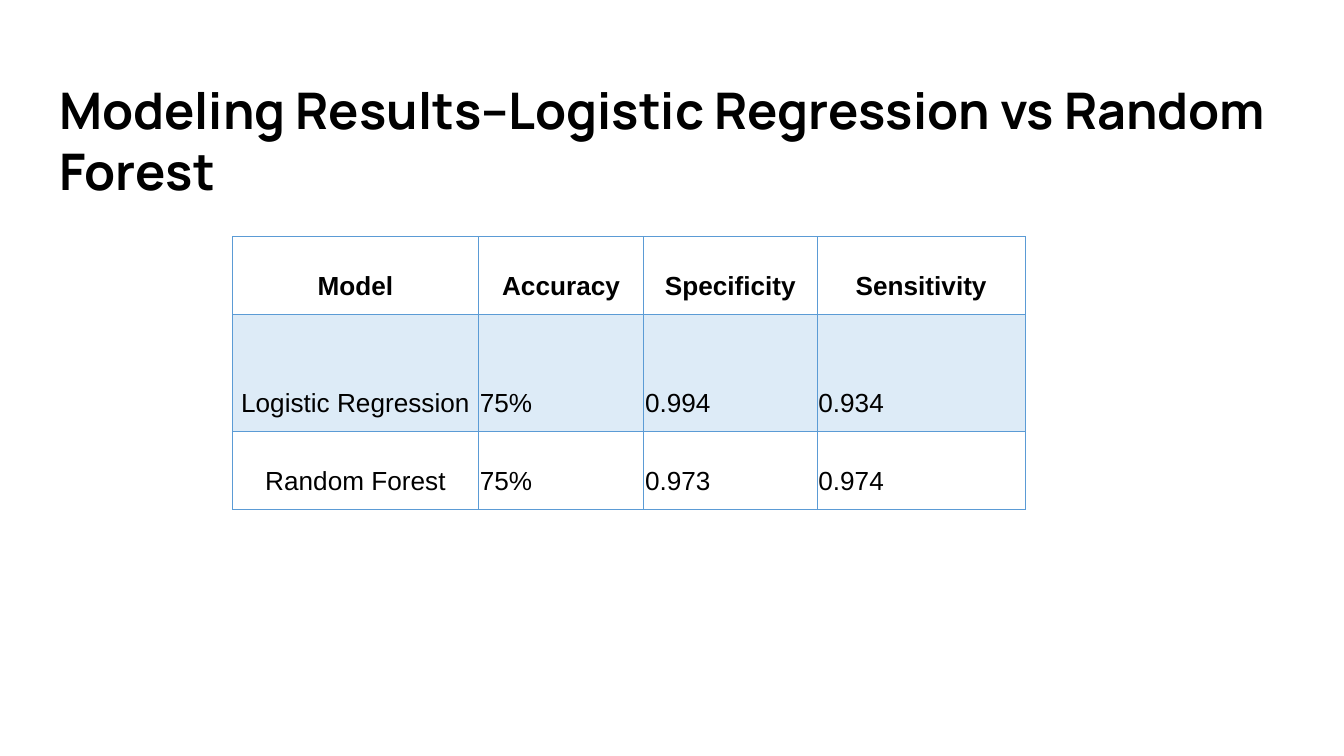
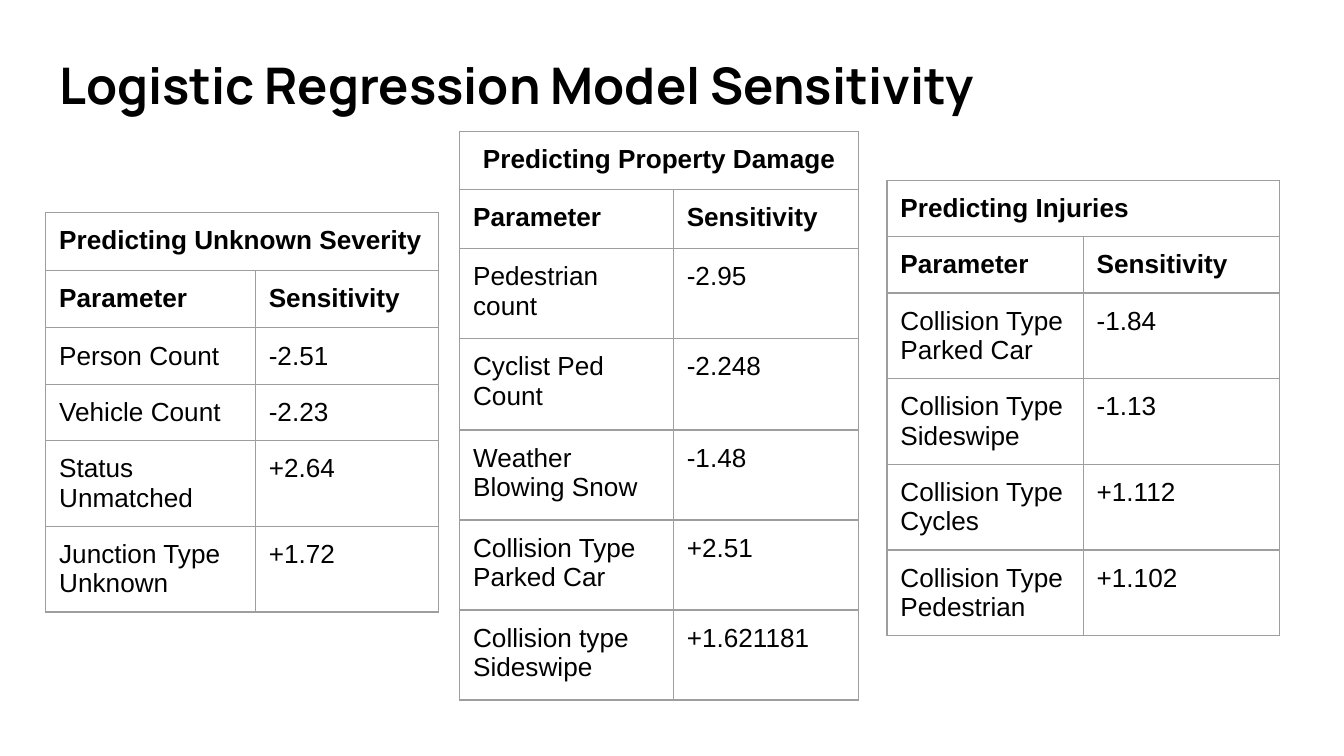
import pptx
import pptx.dml.color
import pptx.enum.text
import pptx.oxml
import pptx.oxml.ns
import pptx.util

Inches = pptx.util.Inches
Pt = pptx.util.Pt
RGB = pptx.dml.color.RGBColor
ALIGN = pptx.enum.text.PP_ALIGN
ANCHOR = pptx.enum.text.MSO_ANCHOR

BLACK = RGB(0x00, 0x00, 0x00)
PALE = RGB(0xDD, 0xEB, 0xF7)
BLUE = RGB(0x5B, 0x9B, 0xD5)
GREY = RGB(0x9E, 0x9E, 0x9E)


def write(frame, text, font="Arial", size=14, bold=False, align=ALIGN.LEFT, space=1.0):
    para = frame.paragraphs[0]
    para.alignment = align
    para.line_spacing = space
    run = para.add_run()
    run.text = text
    run.font.name = font
    run.font.size = Pt(size)
    run.font.bold = bold
    run.font.color.rgb = BLACK


def grid(slide, left, top, cols, rows, line, width, rule):
    """Add an unfilled table with ruled cells; rule is the line width under row one."""
    frame = slide.shapes.add_table(len(rows), len(cols), Inches(left), Inches(top),
                                   Inches(sum(cols)), Inches(sum(rows)))
    table = frame.table
    table.first_row = table.horz_banding = False
    for col, wide in zip(table.columns, cols):
        col.width = Inches(wide)
    for r, high in enumerate(rows):
        table.rows[r].height = Inches(high)
        for cell in table.rows[r].cells:
            props = cell._tc.get_or_add_tcPr()
            for side in "LRTB":
                thick = rule if (r, side) in [(0, "B"), (1, "T")] else width
                props.append(pptx.oxml.parse_xml(
                    f'<a:ln{side} {pptx.oxml.ns.nsdecls("a")} w="{Pt(thick)}">'
                    f'<a:solidFill><a:srgbClr val="{line}"/></a:solidFill></a:ln{side}>'))
            cell.fill.background()
            cell.margin_left = cell.margin_right = Inches(0.1)
            cell.margin_top = cell.margin_bottom = Inches(0.1)
    return table


deck = pptx.Presentation()
deck.slide_width = Inches(10)
deck.slide_height = deck.slide_width * 9 // 16

# Slides and their titles
slides = []
for text, top in [("Modeling Results–Logistic Regression vs Random Forest", 0.49),
                  ("Logistic Regression Model Sensitivity", 0.3)]:
    slide = deck.slides.add_slide(deck.slide_layouts[5])
    title = slide.shapes.title
    title.left, title.top = Inches(0.34), Inches(top)
    title.width, title.height = Inches(9.32), Inches(0.68)
    frame = title.text_frame
    frame.margin_left = frame.margin_right = Inches(0.1)
    frame.margin_top = frame.margin_bottom = Inches(0.1)
    frame.word_wrap = True
    frame.auto_size = pptx.enum.text.MSO_AUTO_SIZE.NONE
    frame.vertical_anchor = ANCHOR.TOP
    write(frame, text, font="Manrope", size=27, bold=True)
    slides.append(slide)
results, params = slides

# Model results
scores = [
    ("Model", "Accuracy", "Specificity", "Sensitivity"),
    ("Logistic Regression", "75%", "0.994", "0.934"),
    ("Random Forest", "75%", "0.973", "0.974"),
]
table = grid(results, 1.73, 1.76, [1.83, 1.23, 1.29, 1.55], [0.58, 0.87, 0.58],
             BLUE, 0.5, 1)
for r, row in enumerate(scores):
    for c, text in enumerate(row):
        cell = table.cell(r, c)
        cell.margin_left = cell.margin_right = cell.margin_top = Inches(0.01)
        cell.vertical_anchor = ANCHOR.BOTTOM
        if r == 1:
            cell.fill.solid()
            cell.fill.fore_color.rgb = PALE
        head = r == 0
        write(cell.text_frame, text, bold=head,
              align=ALIGN.CENTER if head or c == 0 else ALIGN.LEFT,
              space=1.15 if head or (r == 2 and c == 0) else 1.0)

# Parameter sensitivity: name, left, top, columns, rows, alignment of name, values
groups = [
    ("Predicting Unknown Severity", 0.34, 1.58, [1.56, 1.36],
     [0.43] * 2 + [0.42] * 4, ALIGN.LEFT,
     [("Person Count", "-2.51"),
      ("Vehicle Count", "-2.23"),
      ("Status Unmatched", "+2.64"),
      ("Junction Type Unknown", "+1.72")]),
    ("Predicting Property Damage", 3.42, 0.98, [1.59, 1.38],
     [0.43, 0.44, 0.67, 0.68] + [0.67] * 3, ALIGN.CENTER,
     [("Pedestrian count", "-2.95"),
      ("Cyclist Ped Count", "-2.248"),
      ("Weather Blowing Snow", "-1.48"),
      ("Collision Type Parked Car", "+2.51"),
      ("Collision type Sideswipe", "+1.621181")]),
    ("Predicting Injuries", 6.6, 1.34, [1.46, 1.46],
     [0.42] * 6, ALIGN.LEFT,
     [("Collision Type Parked Car", "-1.84"),
      ("Collision Type Sideswipe", "-1.13"),
      ("Collision Type Cycles", "+1.112"),
      ("Collision Type Pedestrian", "+1.102")]),
]
for name, left, top, cols, rows, align, values in groups:
    table = grid(params, left, top, cols, rows, GREY, 0.75, 0.75)
    table.cell(0, 0).merge(table.cell(0, 1))
    write(table.cell(0, 0).text_frame, name, bold=True, align=align)
    for r, row in enumerate([("Parameter", "Sensitivity")] + values, start=1):
        for c, text in enumerate(row):
            write(table.cell(r, c).text_frame, text, bold=r == 1)

deck.save("out.pptx")
